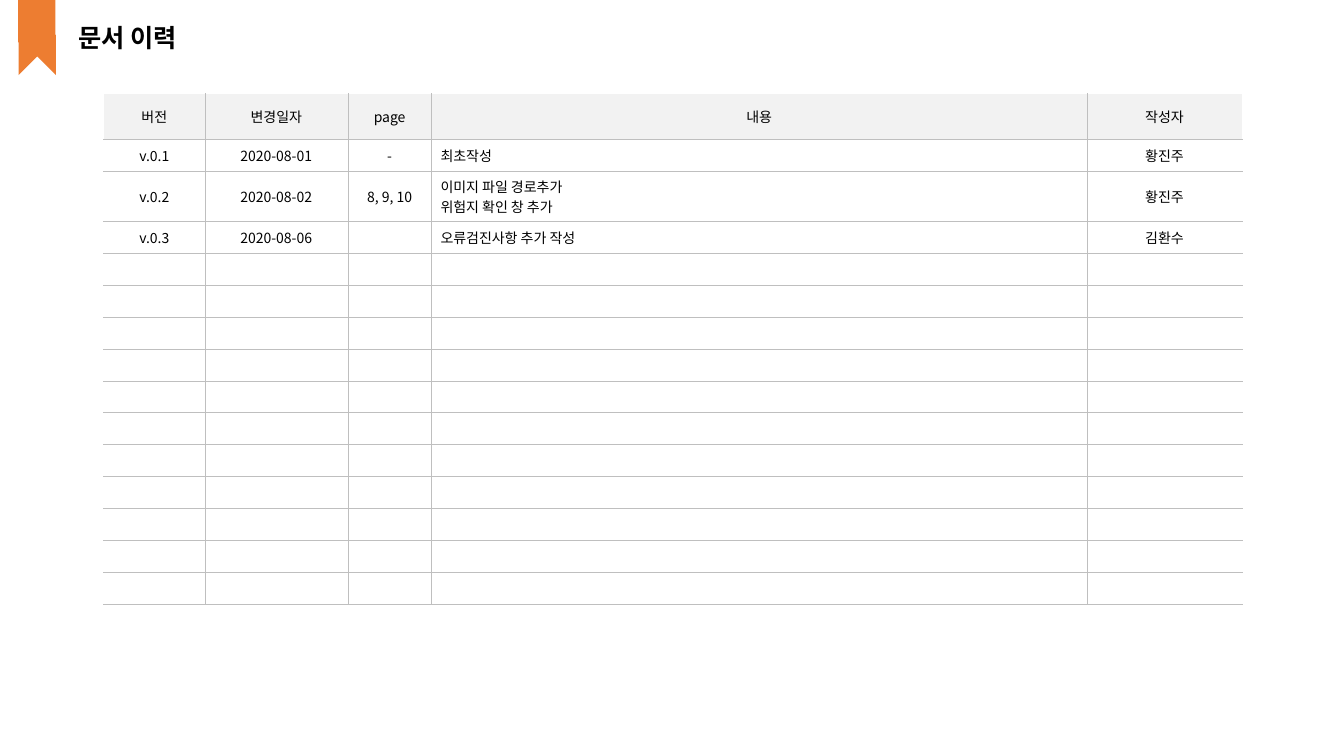
from lxml import etree
from pptx import Presentation
from pptx.dml.color import RGBColor
from pptx.enum.shapes import MSO_SHAPE
from pptx.enum.text import MSO_ANCHOR, PP_ALIGN
from pptx.oxml.ns import qn
from pptx.util import Inches, Pt

CENTER, LEFT, MIDDLE = PP_ALIGN.CENTER, PP_ALIGN.LEFT, MSO_ANCHOR.MIDDLE
CHEVRON, RECTANGLE = MSO_SHAPE.CHEVRON, MSO_SHAPE.RECTANGLE

TITLE = "문서 이력"
HEADER = ("버전", "변경일자", "page", "내용", "작성자")
REVISIONS = [
    ("v.0.1", "2020-08-01", "-", "최초작성", "황진주"),
    ("v.0.2", "2020-08-02", "8, 9, 10", "이미지 파일 경로추가\n위험지 확인 창 추가", "황진주"),
    ("v.0.3", "2020-08-06", "", "오류검진사항 추가 작성", "김환수"),
]
EMPTY_ROWS = 11
HISTORY = [HEADER, *REVISIONS, *[("",) * len(HEADER)] * EMPTY_ROWS]

FONT = "Noto Sans CJK KR"
COLORS = {"ribbon": "ED7D31", "header": "F2F2F2", "body": "FFFFFF",
          "rule": "BFBFBF", "text": "000000"}

SLIDE_SIZE = (13.33, 7.5)
TABLE_LEFT, TABLE_TOP, TABLE_HEIGHT = 1.03, 0.93, 5.06
COLUMN_WIDTHS = (1, 1.42, 0.83, 6.5, 1.54)
HEADER_HEIGHT, TWO_LINE_HEIGHT = 0.45, 0.5
CONTENT_COLUMN = HEADER.index("내용")
RULE_WIDTH = Pt(0.25)


def style_text(paragraph, size, bold=False):
    font = paragraph.font
    font.name, font.size, font.bold = FONT, Pt(size), bold
    font.color.rgb = RGBColor.from_string(COLORS["text"])
    properties = paragraph._p.pPr.find(qn("a:defRPr"))
    etree.SubElement(properties, qn("a:ea"), typeface=FONT)
    if not paragraph.runs:
        etree.SubElement(paragraph._p, qn("a:endParaRPr"), sz=str(size * 100))


def add_ribbon_part(slide, preset, left, top, width, height, rotation=0):
    part = slide.shapes.add_shape(preset, *map(Inches, (left, top, width, height)))
    part.rotation = rotation
    part.shadow.inherit = False
    part.fill.solid()
    part.fill.fore_color.rgb = RGBColor.from_string(COLORS["ribbon"])
    part.line.fill.background()


def add_title(slide):
    title = slide.shapes.add_textbox(*map(Inches, (0.68, 0.17, 1.81, 0.4)))
    title.text_frame.word_wrap = True
    title.text_frame.text = TITLE
    style_text(title.text_frame.paragraphs[0], 18, True)


def add_rules(cell, sides):
    properties = cell._tc.get_or_add_tcPr()
    for position, side in enumerate(sides):
        rule = etree.Element(qn(f"a:{side}"), w=str(RULE_WIDTH))
        fill = etree.SubElement(rule, qn("a:solidFill"))
        etree.SubElement(fill, qn("a:srgbClr"), val=COLORS["rule"])
        properties.insert(position, rule)


def add_history(slide):
    row_count, column_count = len(HISTORY), len(HEADER)
    row_height = (TABLE_HEIGHT - HEADER_HEIGHT - TWO_LINE_HEIGHT) / (row_count - 2)
    history = slide.shapes.add_table(
        row_count, column_count, Inches(TABLE_LEFT), Inches(TABLE_TOP),
        Inches(sum(COLUMN_WIDTHS)), Inches(TABLE_HEIGHT)).table
    history.first_row = history.horz_banding = False
    for column, width in zip(history.columns, COLUMN_WIDTHS):
        column.width = Inches(width)
    for r, entry in enumerate(HISTORY):
        is_header = r == 0
        two_lines = "\n" in entry[CONTENT_COLUMN]
        height = HEADER_HEIGHT if is_header else TWO_LINE_HEIGHT if two_lines else row_height
        history.rows[r].height = Inches(height)
        for c, text in enumerate(entry):
            cell = history.cell(r, c)
            cell.text = text
            cell.vertical_anchor = MIDDLE
            cell.margin_left = cell.margin_right = Inches(0.09)
            cell.margin_top = cell.margin_bottom = Inches(0.04)
            cell.fill.solid()
            cell.fill.fore_color.rgb = RGBColor.from_string(
                COLORS["header" if is_header else "body"])
            for paragraph in cell.text_frame.paragraphs:
                paragraph.alignment = LEFT if c == CONTENT_COLUMN and not is_header else CENTER
                style_text(paragraph, 10)
            present = {"lnL": c > 0, "lnR": c < column_count - 1, "lnT": r > 0, "lnB": True}
            add_rules(cell, [side for side, shown in present.items() if shown])


def main():
    presentation = Presentation()
    presentation.slide_width, presentation.slide_height = map(Inches, SLIDE_SIZE)
    slide = presentation.slides.add_slide(presentation.slide_layouts[6])
    add_history(slide)
    add_ribbon_part(slide, CHEVRON, 0.08, 0.27, 0.58, 0.37, 270)
    add_ribbon_part(slide, RECTANGLE, 0.18, 0, 0.37, 0.42)
    add_title(slide)
    presentation.save("out.pptx")


if __name__ == "__main__":
    main()
